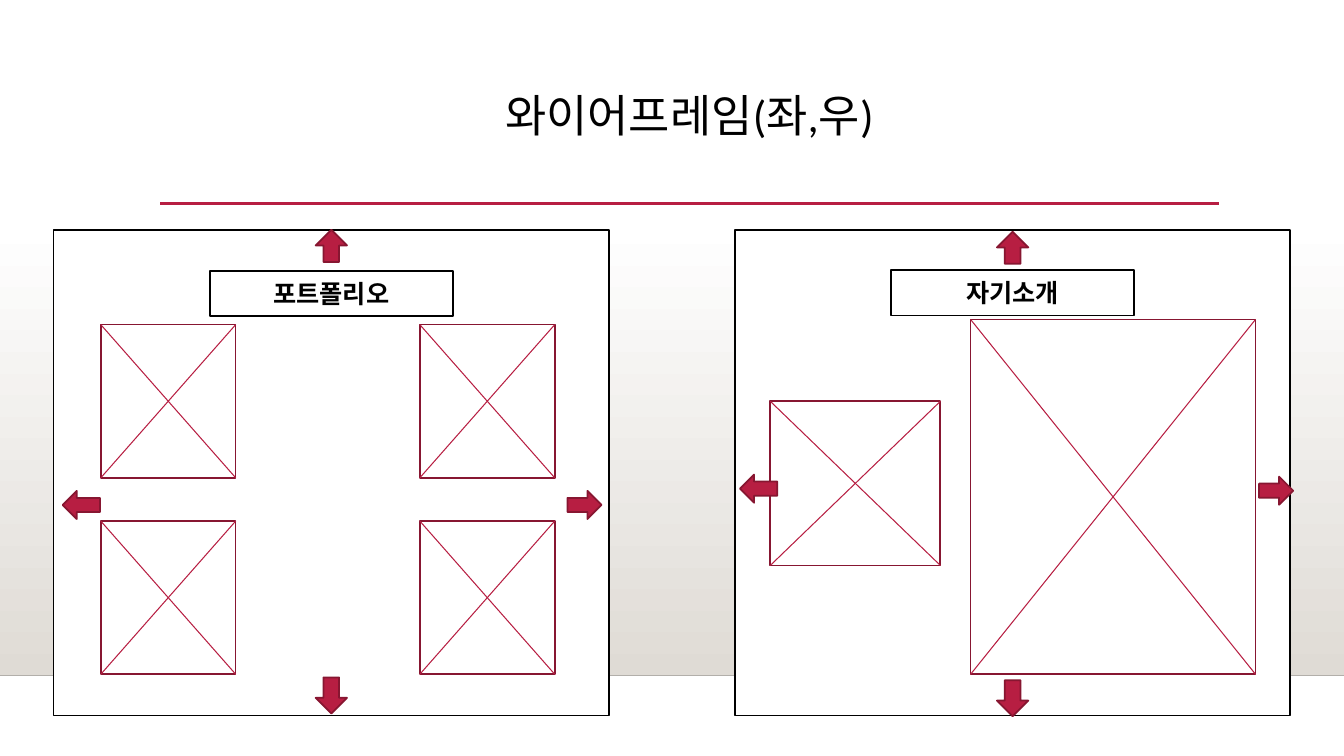
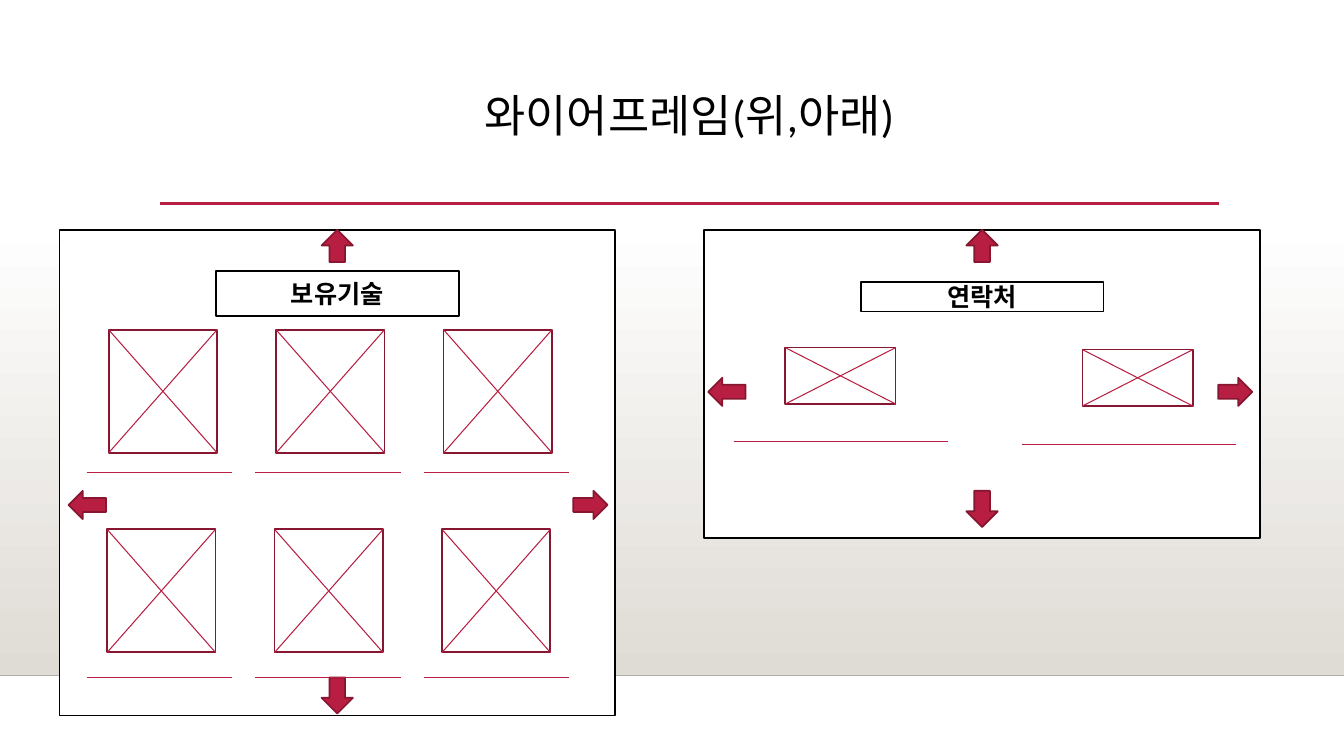
from lxml.etree import SubElement
from pptx import Presentation
from pptx.dml.color import RGBColor
from pptx.enum.shapes import MSO_CONNECTOR, MSO_SHAPE
from pptx.enum.text import MSO_ANCHOR, PP_ALIGN
from pptx.oxml.ns import qn
from pptx.util import Cm, Pt

RED = RGBColor(0xB7, 0x1E, 0x42)
WINE = RGBColor(0x87, 0x16, 0x31)
BLACK = RGBColor(0, 0, 0)
WHITE = RGBColor(0xFF, 0xFF, 0xFF)
SAND = RGBColor(0xDF, 0xDB, 0xD5)
GREY = RGBColor(0xB2, 0xAF, 0xAA)
FONT = "Calibri"
WIDTH, HEIGHT = 33.87, 19.05
TOP = 5.79
FRAME_W = 14
LABEL_W = 6.12


def add_box(slide, kind, box, fill, edge):
    """Add a preset shape; box is left, top, width, height in cm."""
    shape = slide.shapes.add_shape(kind, *map(Cm, box))
    shape.shadow.inherit = False
    shape.fill.solid()
    shape.fill.fore_color.rgb = fill
    shape.line.color.rgb = edge
    shape.line.width = Pt(1.25)
    return shape


def add_line(slide, x1, y1, x2, y2, color=RED, width=0.75):
    line = slide.shapes.add_connector(
        MSO_CONNECTOR.STRAIGHT, Cm(x1), Cm(y1), Cm(x2), Cm(y2))
    line.line.color.rgb = color
    line.line.width = Pt(width)
    SubElement(line._element.spPr, qn("a:effectLst"))


# Arrows: kind, x within the frame, y. Boxes: x, y, width, height.
# Rules: left, y, length.
UP, DOWN = MSO_SHAPE.UP_ARROW, MSO_SHAPE.DOWN_ARROW
LEFT, RIGHT = MSO_SHAPE.LEFT_ARROW, MSO_SHAPE.RIGHT_ARROW
SIZES = {UP: (0.79, 0.81), DOWN: (0.79, 0.91),
         LEFT: (0.94, 0.71), RIGHT: (0.86, 0.71)}
MID = (FRAME_W - 0.79) / 2

work = dict(
    text="포트폴리오", left=1.35, height=12.24, label=(6.83, 1.14),
    boxes=[(x, y, 3.4, 3.86) for y in (8.18, 13.13) for x in (2.54, 10.58)],
    arrows=[(UP, MID, TOP), (DOWN, MID, 17.07),
            (LEFT, 0.23, 12.37), (RIGHT, 12.95, 12.37)],
    rules=[])
about = dict(
    text="자기소개", left=18.52, height=12.24, label=(6.81, 1.14),
    boxes=[(24.46, 8.05, 7.18, 8.94), (19.41, 10.11, 4.29, 4.14)],
    arrows=[(UP, MID, 5.84), (DOWN, MID, 17.14),
            (LEFT, 0.13, 11.96), (RIGHT, 13.21, 12.01)],
    rules=[])
skills = dict(
    text="보유기술", left=1.5, height=12.24, label=(6.83, 1.14),
    boxes=[(x + 4.22 * col, y, 2.73, 3.1)
           for x, y in ((2.74, 8.31), (2.7, 13.34)) for col in range(3)],
    arrows=work["arrows"],
    rules=[(2.18 + 4.25 * col, y, 3.67)
           for y in (11.91, 17.07) for col in range(3)])
contact = dict(
    text="연락처", left=17.75, height=7.77, label=(7.11, 0.74),
    boxes=[(19.79, 8.76, 2.78, 1.42), (27.28, 8.81, 2.78, 1.42)],
    arrows=[(UP, MID, TOP), (DOWN, MID, 12.37),
            (LEFT, 0.1, 9.52), (RIGHT, 12.95, 9.52)],
    rules=[(18.49, 11.13, 5.39), (25.76, 11.2, 5.39)])

deck = Presentation()
deck.slide_width, deck.slide_height = Cm(WIDTH), Cm(HEIGHT)

for title, panels in (("와이어프레임(좌,우)", (work, about)),
                      ("와이어프레임(위,아래)", (skills, contact))):
    slide = deck.slides.add_slide(deck.slide_layouts[6])

    band = add_box(slide, MSO_SHAPE.RECTANGLE, (0, 5.61, WIDTH, 11.41),
                   SAND, SAND)
    band.line.fill.background()
    band.fill.gradient()
    band.fill.gradient_angle = 270
    for stop, color in zip(band.fill.gradient_stops, (WHITE, SAND)):
        stop.color.rgb = color
    add_line(slide, 0, 17.02, WIDTH, 17.02, GREY, 1)
    add_line(slide, 4.04, 5.13, 30.73, 5.13, RED, 2.5)

    frame = slide.shapes.add_textbox(
        Cm(4.04), Cm(2.24), Cm(26.67), Cm(2.92)).text_frame
    frame.word_wrap = True
    para = frame.paragraphs[0]
    para.text = title
    para.alignment = PP_ALIGN.CENTER
    para.line_spacing = 0.9
    para.font.name, para.font.size = FONT, Pt(32)
    para.font.color.rgb = BLACK

    for panel in panels:
        left = panel["left"]
        add_box(slide, MSO_SHAPE.RECTANGLE,
                (left, TOP, FRAME_W, panel["height"]), WHITE, BLACK)

        y, height = panel["label"]
        label = add_box(slide, MSO_SHAPE.RECTANGLE,
                        (left + (FRAME_W - LABEL_W) / 2, y, LABEL_W, height),
                        WHITE, BLACK)
        label.text_frame.vertical_anchor = MSO_ANCHOR.MIDDLE
        para = label.text_frame.paragraphs[0]
        para.text = panel["text"]
        para.alignment = PP_ALIGN.CENTER
        para.font.name, para.font.size = FONT, Pt(18)
        para.font.bold = True
        para.font.color.rgb = BLACK

        for x, y, width, height in panel["boxes"]:
            add_box(slide, MSO_SHAPE.RECTANGLE, (x, y, width, height),
                    WHITE, WINE)
            add_line(slide, x, y, x + width, y + height)
            add_line(slide, x + width, y, x, y + height)
        for kind, x, y in panel["arrows"]:
            add_box(slide, kind, (left + x, y, *SIZES[kind]), RED, WINE)
        for x, y, width in panel["rules"]:
            add_line(slide, x, y, x + width, y)

deck.save("out.pptx")
